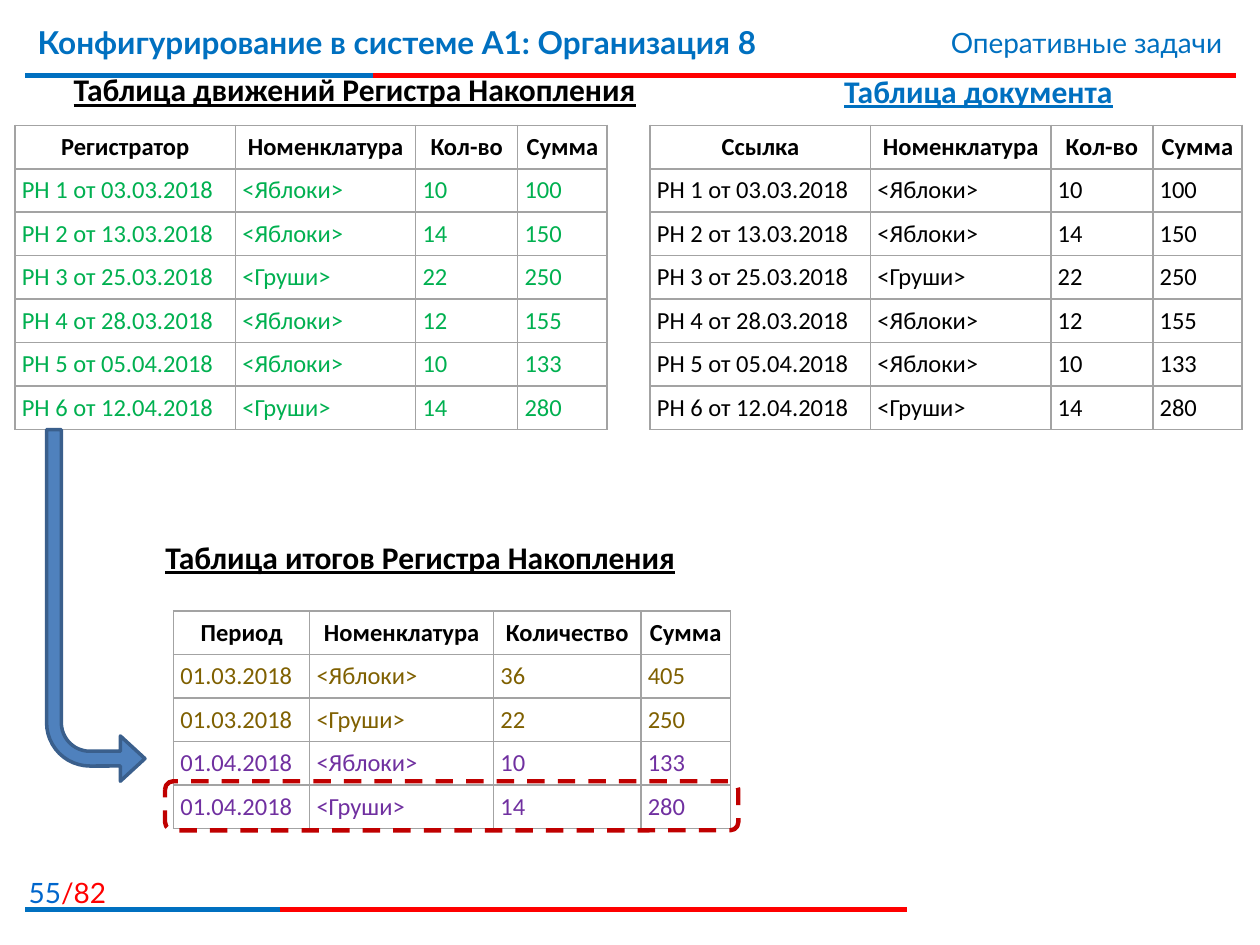
from lxml import etree
from pptx import Presentation
from pptx.dml.color import RGBColor
from pptx.enum.dml import MSO_LINE
from pptx.enum.shapes import MSO_CONNECTOR, MSO_SHAPE
from pptx.enum.text import PP_ALIGN
from pptx.oxml import parse_xml
from pptx.oxml.ns import nsdecls, qn
from pptx.util import Pt

LEFT, CENTER, RIGHT = PP_ALIGN.LEFT, PP_ALIGN.CENTER, PP_ALIGN.RIGHT
STRAIGHT, DASH = MSO_CONNECTOR.STRAIGHT, MSO_LINE.DASH
BENT_ARROW, ROUND_RECT = MSO_SHAPE.BENT_ARROW, MSO_SHAPE.ROUNDED_RECTANGLE
BLUE, RED, BLACK, GREEN = "0070C0", "FF0000", "000000", "00B050"
OLIVE, PURPLE = "7F6000", "7030A0"
ROW_H, CELL_PAD = 24.85, 3.9

rgb = RGBColor.from_string


def style_run(r, font, size, color, bold=False, underline=False):
    r.font.name = font
    r.font.size = Pt(size)
    r.font.color.rgb = rgb(color)
    r.font.bold = bold
    r.font.underline = underline


prs = Presentation()
prs.slide_width, prs.slide_height = Pt(720), Pt(540)
s = prs.slides.add_slide(prs.slide_layouts[6])

# Header and footer rules: red line with a blue start on top
for y, blue_end, red_end in [(43.2, 213.1, 706.3), (519.8, 159.8, 518.4)]:
    for end, color in [(red_end, RED), (blue_end, BLUE)]:
        ln = s.shapes.add_connector(STRAIGHT, Pt(14.4), Pt(y), Pt(end), Pt(y))
        ln.line.color.rgb = rgb(color)
        ln.line.width = Pt(3)
        etree.SubElement(ln._element.spPr, qn("a:effectLst"))

# Page number, slide titles and table headings
texts = [
    ((-7.2, 496.8, 74.9, 23), RIGHT, "Lato", 16, False, False,
     [("55", "0066CC"), ("/82", RED)]),
    ((14.4, 9.4, 532.8, 44.6), LEFT, "Lato", 18, True, False,
     [("Конфигурирование в системе А1: Организация 8", BLUE)]),
    ((427.7, 10.8, 277.9, 26.6), RIGHT, "Lato", 16, False, False,
     [("Оперативные задачи", BLUE)]),
    ((400.3, 37.4, 317.5, 28.8), CENTER, "Calibri", 18, True, True,
     [("Таблица документа", BLUE)]),
    ((20.2, 36.7, 365, 28.8), CENTER, "Calibri", 18, True, True,
     [("Таблица движений Регистра Накопления", BLACK)]),
    ((81.4, 303.8, 317.5, 28.8), CENTER, "Calibri", 18, True, True,
     [("Таблица итогов Регистра Накопления", BLACK)]),
]
for box, align, font, size, bold, underline, runs in texts:
    tf = s.shapes.add_textbox(*map(Pt, box)).text_frame
    tf.word_wrap = True
    p = tf.paragraphs[0]
    p.alignment = align
    for text, color in runs:
        r = p.add_run()
        r.text = text
        style_run(r, font, size, color, bold, underline)

# Table contents
movements = [
    ("РН 1 от 03.03.2018", "<Яблоки>", "10", "100"),
    ("РН 2 от 13.03.2018", "<Яблоки>", "14", "150"),
    ("РН 3 от 25.03.2018", "<Груши>", "22", "250"),
    ("РН 4 от 28.03.2018", "<Яблоки>", "12", "155"),
    ("РН 5 от 05.04.2018", "<Яблоки>", "10", "133"),
    ("РН 6 от 12.04.2018", "<Груши>", "14", "280"),
]
totals = [
    ("01.03.2018", "<Яблоки>", "36", "405"),
    ("01.03.2018", "<Груши>", "22", "250"),
    ("01.04.2018", "<Яблоки>", "10", "133"),
    ("01.04.2018", "<Груши>", "14", "280"),
]
move_cols = [126, 103, 58.3, 51.1]
tables = [
    (8.6, 71.6, move_cols, ("Регистратор", "Номенклатура", "Кол-во", "Сумма"),
     movements, [GREEN] * 6),
    (371.5, 71.6, move_cols, ("Ссылка", "Номенклатура", "Кол-во", "Сумма"),
     movements, [BLACK] * 6),
    (99.2, 349.2, [77.8, 105.1, 84.2, 51.1],
     ("Период", "Номенклатура", "Количество", "Сумма"),
     totals, [OLIVE] * 2 + [PURPLE] * 2),
]

# Tables
for x, y, widths, header, body, colors in tables:
    rows = [header] + body
    table = s.shapes.add_table(len(rows), len(widths), Pt(x), Pt(y),
                               Pt(sum(widths)), Pt(ROW_H * len(rows))).table
    table.first_row = table.horz_banding = False
    for col, width in zip(table.columns, widths):
        col.width = Pt(width)
    for i, (values, color) in enumerate(zip(rows, [BLACK] + colors)):
        table.rows[i].height = Pt(ROW_H)
        for j, value in enumerate(values):
            cell = table.cell(i, j)
            cell.margin_left = cell.margin_right = Pt(CELL_PAD)
            cell.margin_top = cell.margin_bottom = Pt(CELL_PAD)
            cell.text_frame.text = value
            p = cell.text_frame.paragraphs[0]
            p.alignment = CENTER if i == 0 else LEFT
            style_run(p.runs[0], "Calibri", 14, color, bold=i == 0)
            tcPr = cell._tc.get_or_add_tcPr()
            for side in "LRTB":
                tcPr.append(parse_xml(
                    f'<a:ln{side} {nsdecls("a")} w="{Pt(1)}"><a:solidFill>'
                    f'<a:srgbClr val="A3A3A3"/></a:solidFill></a:ln{side}>'))
            cell.fill.background()

# Arrow from the movements to the totals, mirrored top to bottom
arrow = s.shapes.add_shape(BENT_ARROW, Pt(26.6), Pt(245.5), Pt(56.2), Pt(200.9))
for k, value in enumerate([0.15, 0.23, 0.25, 0.44]):
    arrow.adjustments[k] = value
arrow.rotation = 180
arrow._element.spPr.xfrm.set("flipH", "1")
arrow.shadow.inherit = False
arrow.fill.solid()
arrow.fill.fore_color.rgb = rgb("4F81BD")
arrow.line.color.rgb = rgb("3A5F8C")
arrow.line.width = Pt(2)

# Dashed frame around the last total
frame = s.shapes.add_shape(ROUND_RECT, Pt(94.3), Pt(446.4), Pt(327.6), Pt(28.1))
frame.shadow.inherit = False
frame.fill.background()
frame.line.color.rgb = rgb("C00000")
frame.line.width = Pt(2.5)
frame.line.dash_style = DASH

prs.save("out.pptx")
